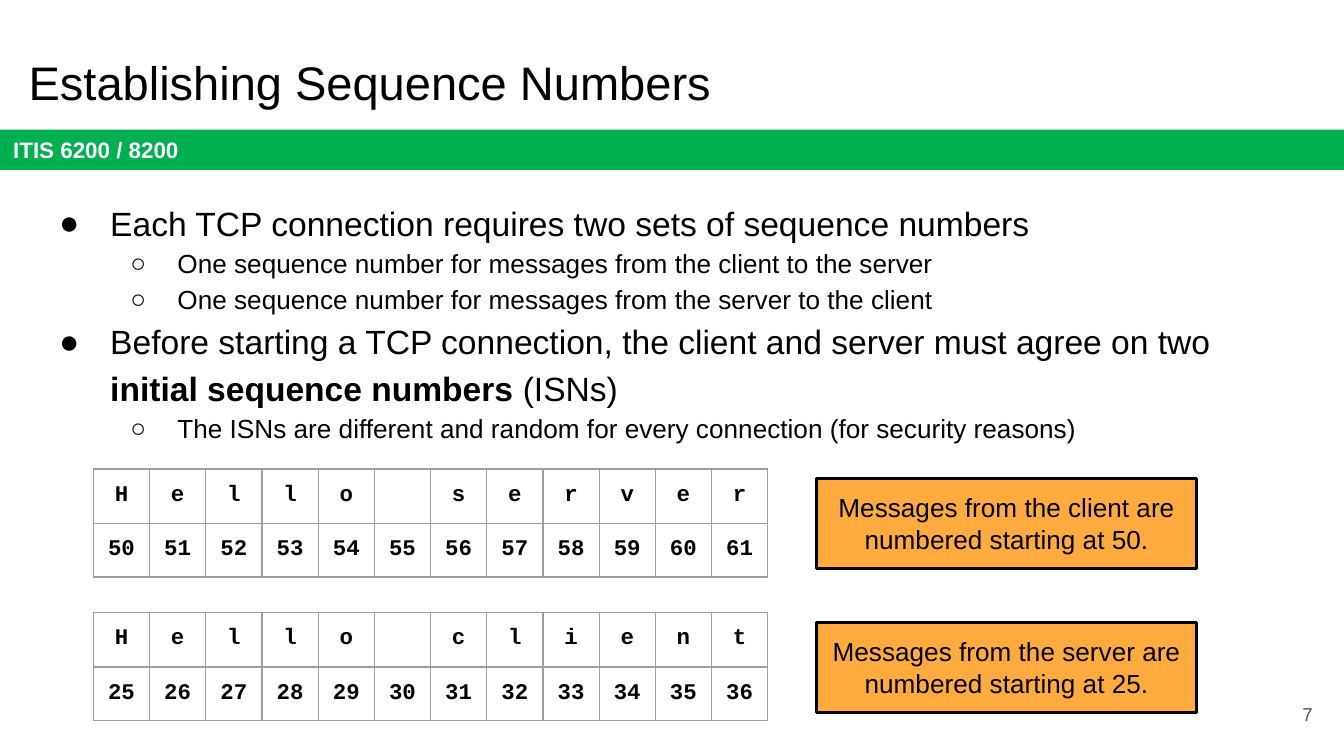
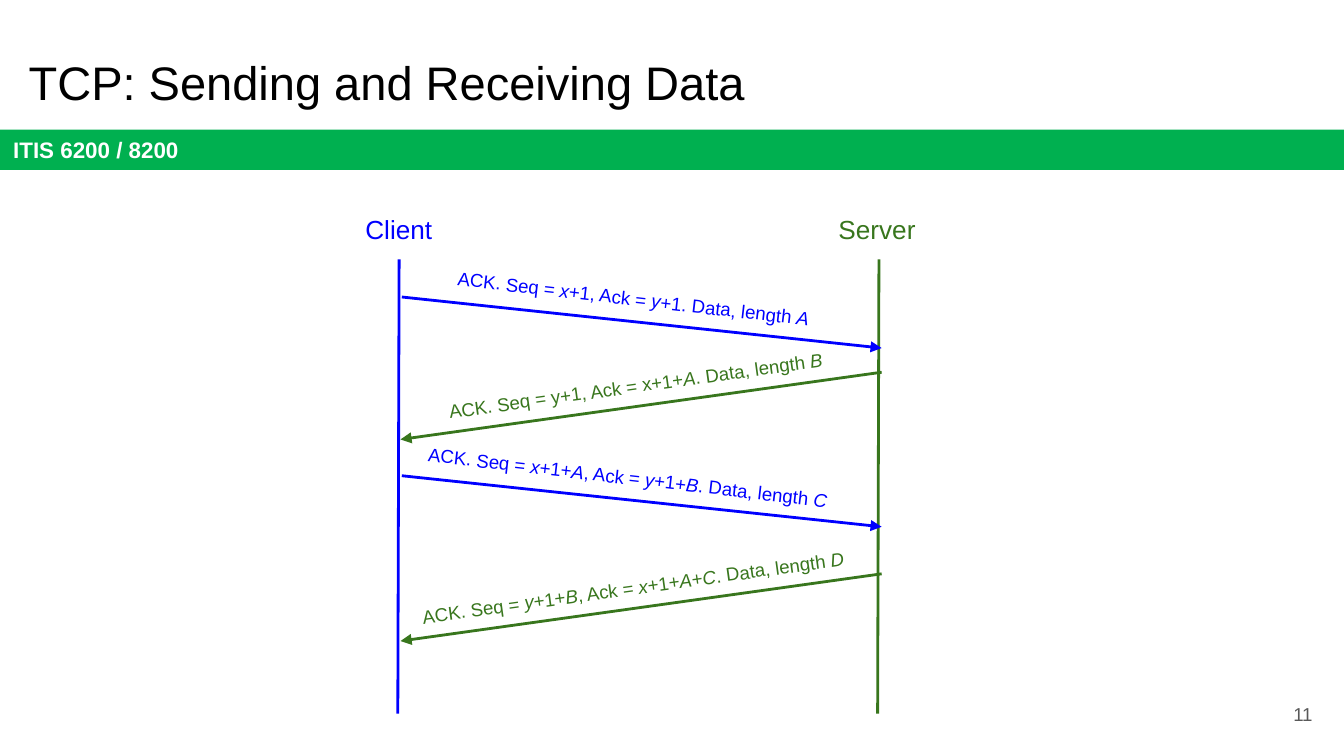
from lxml.etree import SubElement
from pptx import Presentation
from pptx.dml.color import RGBColor
from pptx.enum.shapes import MSO_CONNECTOR, MSO_SHAPE
from pptx.enum.text import MSO_ANCHOR, MSO_AUTO_SIZE, PP_ALIGN
from pptx.oxml.ns import qn
from pptx.util import Inches, Pt

WIDE = Inches(10)
HIGH = WIDE * 9 // 16
COL, ROW = WIDE / 100, HIGH / 56.25  # grid of 100 columns by 56.25 rows
PAD = Inches(0.1)

BLACK, WHITE, GRAY, EDGE = "000000", "FFFFFF", "595959", "9E9E9E"
BAND, NOTE, BLUE, GREEN = "00B050", "FFAB40", "0000FF", "38761D"

TITLE = {"left": 1.13, "top": 3, "width": 93.2, "height": 6.3}
BODY = {"left": 2.2, "top": 13.64, "width": 95, "height": 22.3}

# level: bullet, size, left margin, hanging indent
LEVELS = [("●", 18, 0.5, 0.38), ("○", 14, 1, 0.35)]
POINTS = [
    (0, "Each TCP connection requires two sets of sequence numbers"),
    (1, "One sequence number for messages from the client to the server"),
    (1, "One sequence number for messages from the server to the client"),
    (0, "Before starting a TCP connection, the client and server must agree "
        "on two *initial sequence numbers* (ISNs)"),
    (1, "The ISNs are different and random for every connection "
        "(for security reasons)"),
]
STREAMS = [
    ("Hello server", 50, "Messages from the client are numbered starting at 50."),
    ("Hello client", 25, "Messages from the server are numbered starting at 25."),
]
# start row of the arrow, middle column of the label, sent by client, label
MESSAGES = [
    (7.2, 17.6, True, "ACK. Seq = *x*+1, Ack = *y*+1. Data, length *A *"),
    (12.8, 17.6, False, "ACK. Seq = y+1, Ack = x+1+*A*. Data, length *B*"),
    (20.5, 17.2, True,
     "ACK. Seq = *x*+1+*A*, Ack = *y*+1+*B*. Data, length *C *"),
    (27.8, 17.6, False,
     "ACK. Seq = *y*+1+*B*, Ack = *x*+1+*A*+*C*. Data, length *D *"),
]


def paint(code):
    return RGBColor.from_string(code)


def assign(item, values):
    for name, value in values.items():
        setattr(item, name, value)


def grid(x, y, w, h):
    return [int(n) for n in (x * COL, y * ROW, w * COL, h * ROW)]


def pad(frame, anchor=MSO_ANCHOR.TOP):
    sides = ("left", "right", "top", "bottom")
    assign(frame, {f"margin_{side}": PAD for side in sides})
    assign(frame, {"word_wrap": True, "vertical_anchor": anchor,
                   "auto_size": MSO_AUTO_SIZE.NONE})


def write(para, text, size, color=BLACK, align=PP_ALIGN.LEFT, face="Arial",
          bold=False, mark="italic"):
    """Fill a paragraph; parts between asterisks get the mark."""
    para.alignment = align
    if not text:
        SubElement(para._p, qn("a:endParaRPr"), sz=str(size * 100))
    for spot, part in enumerate(text.split("*")):
        if part:
            run = para.add_run()
            run.text = part
            assign(run.font, {"name": face, "size": Pt(size), "bold": bold})
            run.font.color.rgb = paint(color)
            if spot % 2:
                setattr(run.font, mark, True)


def label(slide, box, text, size, color, align=PP_ALIGN.LEFT,
          anchor=MSO_ANCHOR.TOP):
    shape = slide.shapes.add_textbox(*grid(*box))
    pad(shape.text_frame, anchor)
    write(shape.text_frame.paragraphs[0], text, size, color, align)
    return shape


def block(slide, box, fill, text, edge=None, anchor=MSO_ANCHOR.TOP, **look):
    shape = slide.shapes.add_shape(MSO_SHAPE.RECTANGLE, *grid(*box))
    shape.shadow.inherit = False
    shape.fill.solid()
    shape.fill.fore_color.rgb = paint(fill)
    if edge:
        shape.line.color.rgb = paint(edge)
        shape.line.width = Pt(1.5)
    else:
        shape.line.fill.background()
    pad(shape.text_frame, anchor)
    write(shape.text_frame.paragraphs[0], text, **look)


def line(slide, start, end, color, arrow=False):
    ends = grid(*start, *end)
    link = slide.shapes.add_connector(MSO_CONNECTOR.STRAIGHT, *ends)
    link.line.color.rgb = paint(color)
    link.line.width = Pt(1.5)
    if arrow:
        SubElement(link.line._get_or_add_ln(), qn("a:tailEnd"), type="triangle")
    SubElement(link._element.spPr, qn("a:effectLst"))


def place(holder, spots):
    box = grid(*spots.values())
    assign(holder, dict(zip(spots, box)))
    pad(holder.text_frame)


def base(deck, layout, title, number):
    """Add a slide with the shared title, band and page number."""
    slide = deck.slides.add_slide(deck.slide_layouts[layout])
    block(slide, (0, 9.64, 100, 3), BAND, "ITIS 6200 / 8200",
          anchor=MSO_ANCHOR.MIDDLE, size=12, color=WHITE, bold=True)
    place(slide.shapes.title, TITLE)
    write(slide.shapes.title.text_frame.paragraphs[0], title, 25.2)
    label(slide, (92.65, 51, 6, 4.3), str(number), 10, GRAY,
          PP_ALIGN.RIGHT, MSO_ANCHOR.MIDDLE)
    return slide


def bullets(holder, points):
    place(holder, BODY)
    frame = holder.text_frame
    for spot, (level, text) in enumerate(points):
        para = frame.add_paragraph() if spot else frame.paragraphs[0]
        sign, size, left, hang = LEVELS[level]
        assign(para, {"level": level, "line_spacing": 1.15,
                      "space_before": Pt(0), "space_after": Pt(0)})
        write(para, text, size, mark="bold")
        props = para._p.get_or_add_pPr()
        props.set("marL", str(Inches(left)))
        props.set("indent", str(-Inches(hang)))
        SubElement(props, qn("a:buChar"), char=sign)


def border(cell):
    props = cell._tc.get_or_add_tcPr()
    for side in ("lnL", "lnR", "lnT", "lnB"):
        edge = SubElement(props, qn(f"a:{side}"), w=str(Pt(0.75)))
        fill = SubElement(edge, qn("a:solidFill"))
        SubElement(fill, qn("a:srgbClr"), val=EDGE)


def stream(slide, box, word, first, note):
    """Number each byte of a word in a table, with a note to its right."""
    x, y, w, h = box
    table = slide.shapes.add_table(2, len(word), *grid(x, y, w, h)).table
    assign(table, {"first_row": False, "horz_banding": False})
    for col, sign in enumerate(word):
        table.columns[col].width = int(w * COL / len(word))
        for row, text in enumerate((sign.strip(), str(first + col))):
            cell = table.cell(row, col)
            border(cell)
            cell.fill.background()
            assign(cell, {"margin_left": PAD, "margin_right": PAD,
                          "margin_top": PAD, "margin_bottom": PAD})
            write(cell.text_frame.paragraphs[0], text, 12,
                  align=PP_ALIGN.CENTER, face="Courier New", bold=True)
    block(slide, (x + w + 3.6, y + 0.7, 28.3, h - 1.3), NOTE, note, BLACK,
          size=14, align=PP_ALIGN.CENTER)


def message(slide, x, y, mid, client, text):
    """Draw one slanted arrow with its label; x is the client's column."""
    near, far = x + 0.2, x + 35.9
    if client:
        start, end, color, lift, turn = near, far, BLUE, 0.15, 6.6
        drop = 3.8
    else:
        start, end, color, lift, turn = far, near - 0.1, GREEN, 1, -7.9
        drop = 5
    line(slide, (start, y), (end, y + drop), color, arrow=True)
    wide, high = 36, 3.7
    spot = (x + mid - wide / 2, y + lift - high / 2, wide, high)
    label(slide, spot, text, 10, color, PP_ALIGN.CENTER).rotation = turn


def flow(slide, box):
    x, y, w, h = box
    hosts = [("Client", x, 3.5, 7.1, BLUE), ("Server", x + w, 4, 7.8, GREEN)]
    for name, at, shift, wide, color in hosts:
        label(slide, (at - shift, y, wide, 4.4), name, 14, color)
        line(slide, (at, y + 4.4), (at - 0.1, y + h), color)
    for drop, *rest in MESSAGES:
        message(slide, x, y + drop, *rest)


def main():
    deck = Presentation()
    assign(deck, {"slide_width": WIDE, "slide_height": HIGH})

    slide = base(deck, 1, "Establishing Sequence Numbers", 7)
    bullets(slide.placeholders[1], POINTS)
    for spot, data in enumerate(STREAMS):
        stream(slide, (6.95, 34.9 + 10.7 * spot, 50.2, 8), *data)

    slide = base(deck, 5, "TCP: Sending and Receiving Data", 11)
    flow(slide, (29.7, 14.9, 35.7, 38.2))

    deck.save("out.pptx")


if __name__ == "__main__":
    main()
